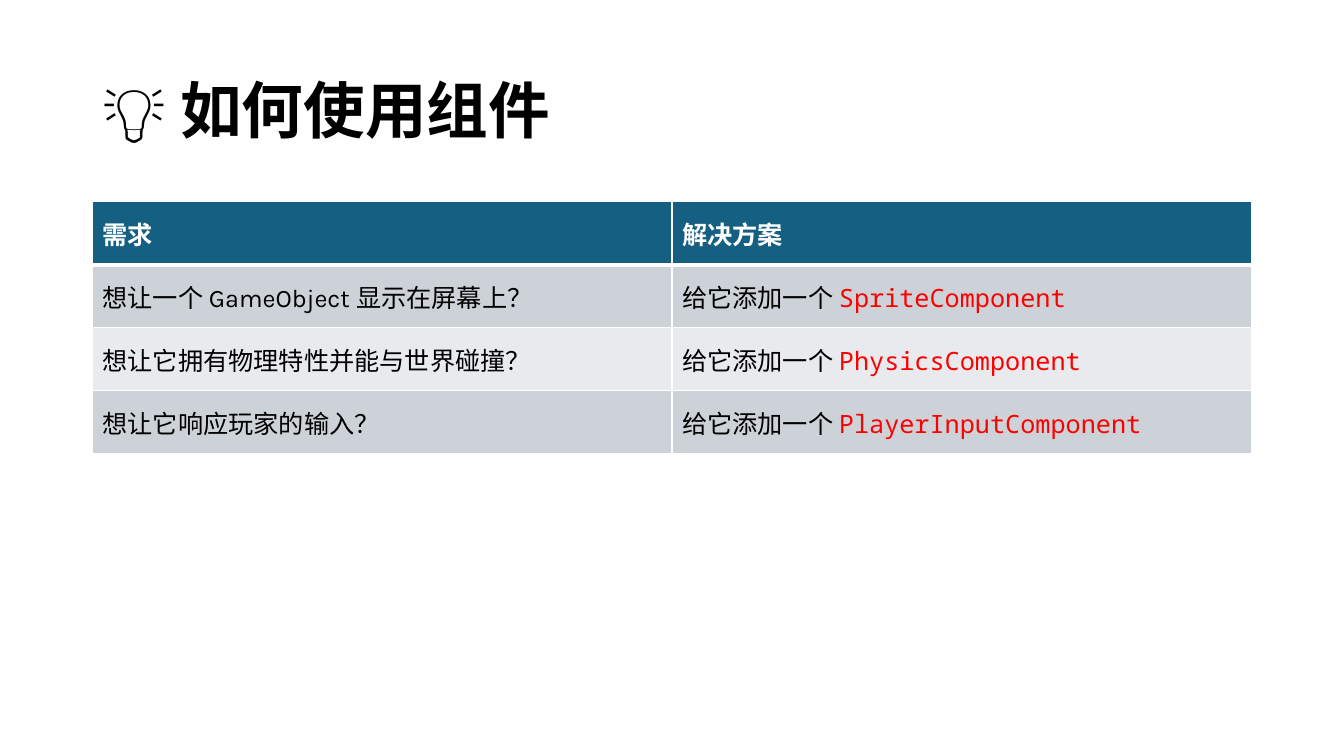
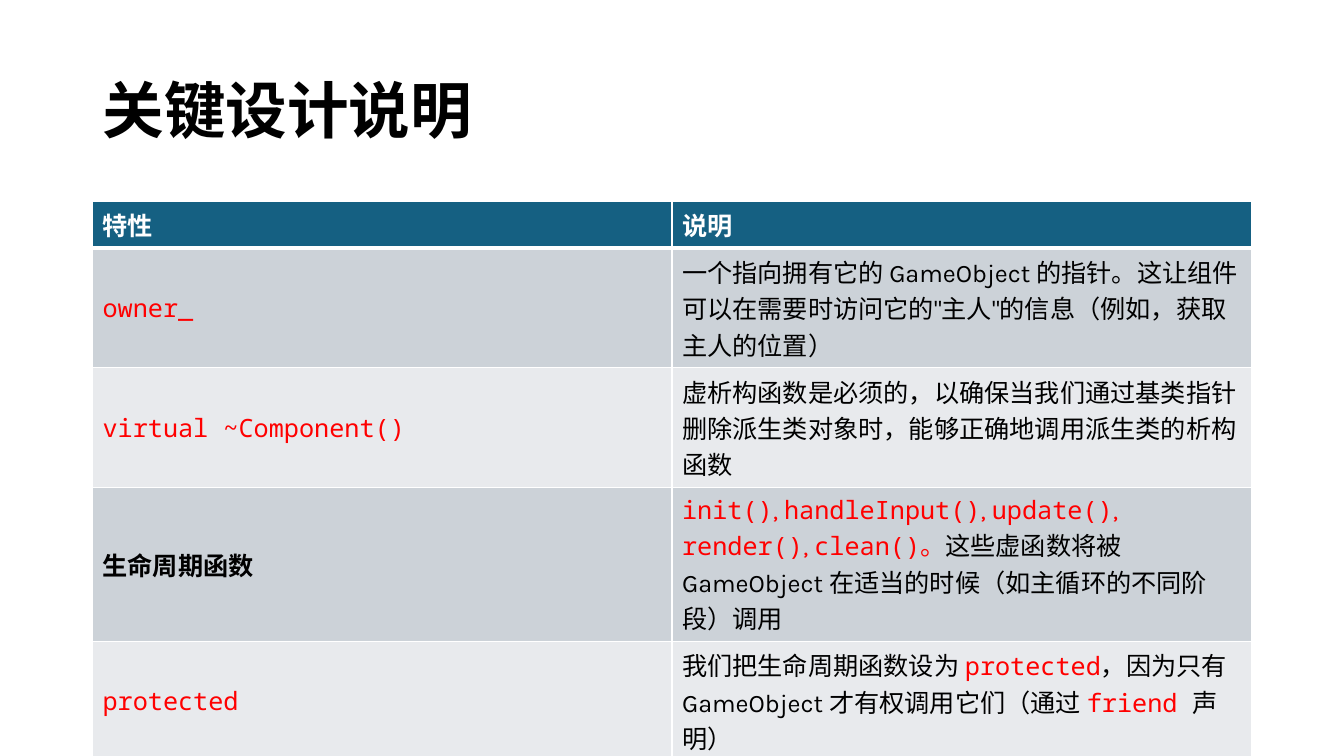
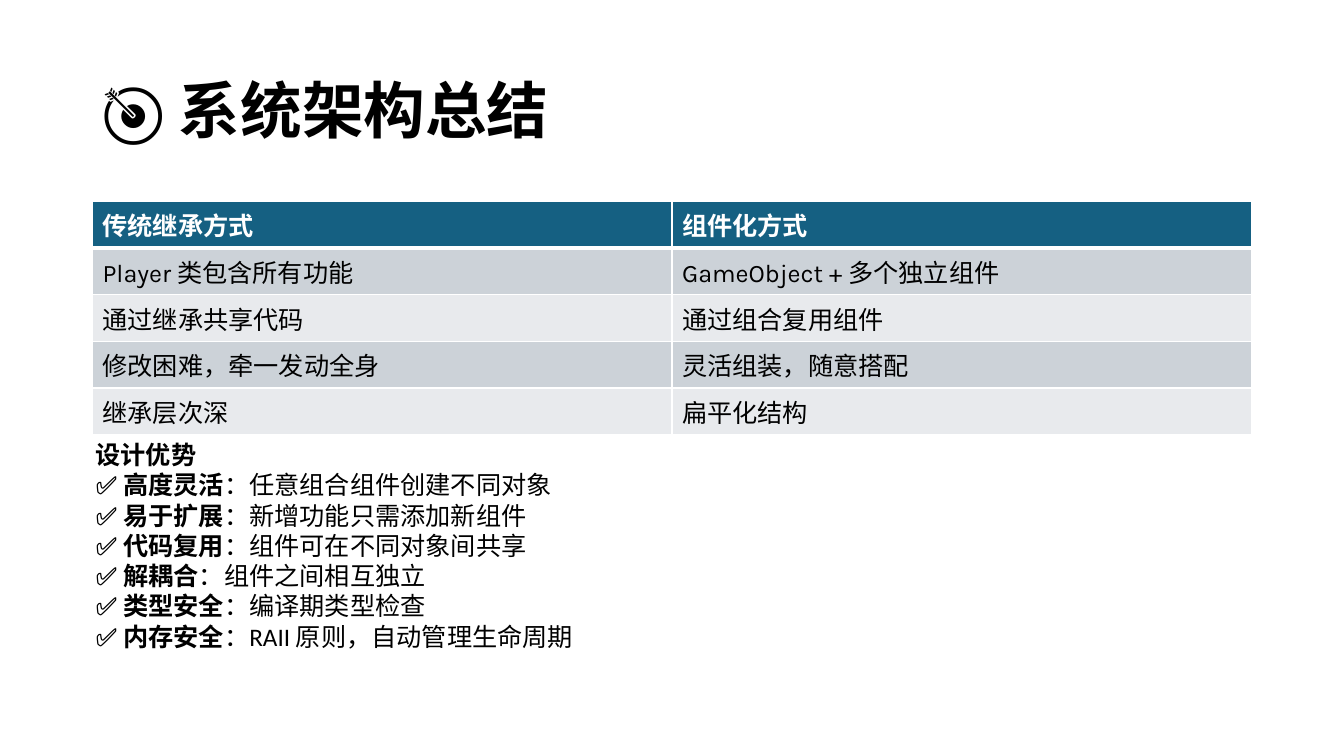
import pptx
import pptx.dml.color
import pptx.enum.text
import pptx.oxml
import pptx.oxml.ns
import pptx.util
from pptx.util import Cm

SANS, MONO, BODY = "Karla", "Noto Sans Mono", "Calibri"
BLACK, WHITE, RED = "000000", "FFFFFF", "FF0000"
HEADER_FILL = "156082"
BAND_FILLS = ["CCD2D8", "E8EAED"]
LEFT, WIDTH = Cm(2.33), Cm(29.21)
TABLE_TOP = Cm(5.08)
STYLES = {
    "plain": (SANS, BLACK, False),
    "bold": (SANS, BLACK, True),
    "head": (SANS, WHITE, True),
    "code": (MONO, RED, False),
    "red": (SANS, RED, False),
    "body": (BODY, BLACK, False),
    "strong": (BODY, BLACK, True),
}


def color(value):
    return pptx.dml.color.RGBColor.from_string(value)


def format_span(span, style, size=18):
    font, fill, bold = STYLES[style]
    span.font.name = font
    span.font.size = pptx.util.Pt(size)
    span.font.bold = bold
    span.font.color.rgb = color(fill)


def write_spans(para, spans, default="plain"):
    if isinstance(spans, str):
        spans = [(spans, default)]
    for text, style in spans:
        span = para.add_run()
        span.text = text
        format_span(span, style)


def add_page(deck, title):
    page = deck.slides.add_slide(deck.slide_layouts[5])
    box = page.shapes.title
    box.left, box.top, box.width, box.height = LEFT, Cm(1.02), WIDTH, Cm(3.68)
    frame = box.text_frame
    frame.text = title
    frame.auto_size = pptx.enum.text.MSO_AUTO_SIZE.NONE
    frame.vertical_anchor = pptx.enum.text.MSO_ANCHOR.MIDDLE
    para = frame.paragraphs[0]
    para.alignment = pptx.enum.text.PP_ALIGN.LEFT
    para.line_spacing = 0.9
    format_span(para.runs[0], "bold", 44)
    return page


def set_borders(cell, top, bottom):
    properties = cell._tc.get_or_add_tcPr()
    sides = [("lnL", 1), ("lnR", 1), ("lnT", top), ("lnB", bottom)]
    for index, (side, points) in enumerate(sides):
        line = pptx.oxml.parse_xml(
            f'<a:{side} {pptx.oxml.ns.nsdecls("a")} w="{pptx.util.Pt(points)}">'
            f'<a:solidFill><a:srgbClr val="{WHITE}"/></a:solidFill></a:{side}>'
        )
        properties.insert(index, line)


def add_grid(page, rows, row_height):
    columns = len(rows[0])
    frame = page.shapes.add_table(
        len(rows), columns, LEFT, TABLE_TOP, WIDTH, row_height * len(rows)
    )
    grid = frame.table
    grid.horz_banding = False
    for row_index, row in enumerate(rows):
        grid.rows[row_index].height = row_height
        header = row_index == 0
        fill = HEADER_FILL if header else BAND_FILLS[(row_index - 1) % 2]
        for column_index, spans in enumerate(row):
            cell = grid.cell(row_index, column_index)
            cell.vertical_anchor = pptx.enum.text.MSO_ANCHOR.MIDDLE
            cell.fill.solid()
            cell.fill.fore_color.rgb = color(fill)
            set_borders(cell, 3 if row_index == 1 else 1, 3 if header else 1)
            para = cell.text_frame.paragraphs[0]
            write_spans(para, spans, "head" if header else "plain")


def set_east_asian_font(span, font):
    element = pptx.oxml.parse_xml(
        f'<a:ea {pptx.oxml.ns.nsdecls("a")} typeface="{font}"/>'
    )
    span.font._element.find(pptx.oxml.ns.qn("a:latin")).addnext(element)


def add_benefits(page, heading, benefits):
    box = page.shapes.add_textbox(Cm(2.16), Cm(10.95), Cm(16.94), Cm(5.64))
    frame = box.text_frame
    frame.word_wrap = True
    lines = [[(heading, "strong")]]
    for name, detail in benefits:
        lines.append([("✅ ", "body"), (name, "strong"), (f"：{detail}", "body")])
    for index, spans in enumerate(lines):
        para = frame.add_paragraph() if index else frame.paragraphs[0]
        write_spans(para, spans)
        for span in para.runs:
            set_east_asian_font(span, BODY)


def add_usage_page(deck):
    page = add_page(deck, "💡 如何使用组件")
    needs = [
        ("想让一个 GameObject 显示在屏幕上？", "SpriteComponent"),
        ("想让它拥有物理特性并能与世界碰撞？", "PhysicsComponent"),
        ("想让它响应玩家的输入？", "PlayerInputComponent"),
    ]
    rows = [("需求", "解决方案")]
    for need, component in needs:
        rows.append((need, [("给它添加一个 ", "plain"), (component, "code")]))
    add_grid(page, rows, Cm(1.59))


def add_design_page(deck):
    page = add_page(deck, "关键设计说明")
    lifecycle = []
    for name in ["init()", "handleInput()", "update()", "render()"]:
        lifecycle += [(name, "code"), (", ", "red")]
    lifecycle += [
        ("clean()", "code"),
        ("。", "red"),
        ("这些虚函数将被 GameObject 在适当的时候（如主循环的不同阶段）调用", "plain"),
    ]
    access = [
        ("我们把生命周期函数设为 ", "plain"),
        ("protected", "code"),
        ("，因为只有 GameObject 才有权调用它们（通过 ", "plain"),
        ("friend ", "code"),
        ("声明）", "plain"),
    ]
    rows = [
        ("特性", "说明"),
        (
            [("owner_", "code")],
            "一个指向拥有它的 GameObject 的指针。这让组件可以在需要时访问它的\"主人\"的信息（例如，获取主人的位置）",
        ),
        (
            [("virtual ~Component()", "code")],
            "虚析构函数是必须的，以确保当我们通过基类指针删除派生类对象时，能够正确地调用派生类的析构函数",
        ),
        ([("生命周期函数", "bold")], lifecycle),
        ([("protected", "code")], access),
    ]
    add_grid(page, rows, Cm(1.03))


def add_summary_page(deck):
    page = add_page(deck, "🎯 系统架构总结")
    rows = [
        ("传统继承方式", "组件化方式"),
        ("Player 类包含所有功能", "GameObject + 多个独立组件"),
        ("通过继承共享代码", "通过组合复用组件"),
        ("修改困难，牵一发动全身", "灵活组装，随意搭配"),
        ("继承层次深", "扁平化结构"),
    ]
    add_grid(page, rows, Cm(1.03))
    benefits = [
        ("高度灵活", "任意组合组件创建不同对象"),
        ("易于扩展", "新增功能只需添加新组件"),
        ("代码复用", "组件可在不同对象间共享"),
        ("解耦合", "组件之间相互独立"),
        ("类型安全", "编译期类型检查"),
        ("内存安全", "RAII 原则，自动管理生命周期"),
    ]
    add_benefits(page, "设计优势", benefits)


def main():
    deck = pptx.Presentation()
    deck.slide_width, deck.slide_height = Cm(33.87), Cm(19.05)
    add_usage_page(deck)
    add_design_page(deck)
    add_summary_page(deck)
    deck.save("out.pptx")


if __name__ == "__main__":
    main()
